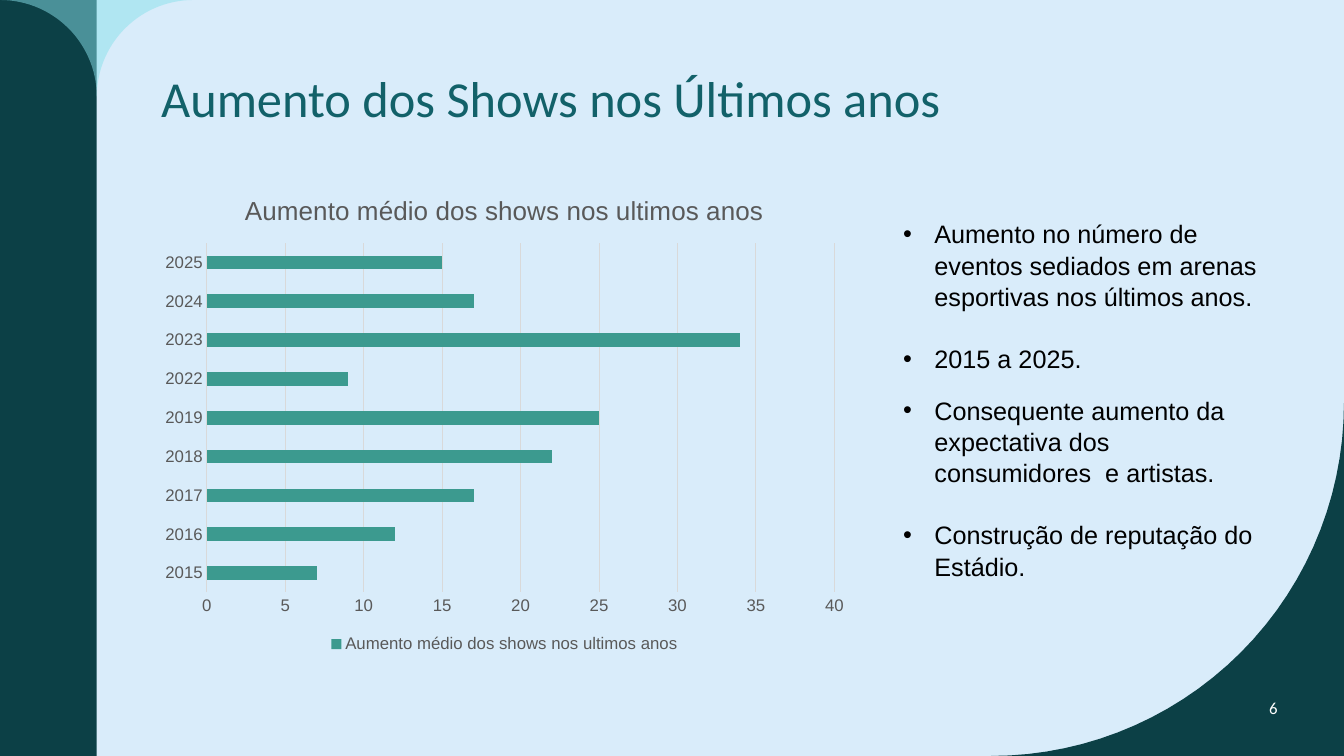
import math
from dataclasses import dataclass

from lxml import etree
from pptx import Presentation
from pptx.chart.data import CategoryChartData
from pptx.dml.color import RGBColor
from pptx.enum.chart import XL_CHART_TYPE, XL_LEGEND_POSITION, XL_TICK_MARK
from pptx.enum.shapes import MSO_SHAPE
from pptx.enum.text import MSO_ANCHOR, MSO_AUTO_SIZE, PP_ALIGN
from pptx.oxml.ns import qn
from pptx.util import Inches, Pt

BAR_CLUSTERED = XL_CHART_TYPE.BAR_CLUSTERED
LEGEND_BOTTOM = XL_LEGEND_POSITION.BOTTOM
TICK_NONE = XL_TICK_MARK.NONE
RECTANGLE = MSO_SHAPE.RECTANGLE
MIDDLE = MSO_ANCHOR.MIDDLE
FIT_SHAPE = MSO_AUTO_SIZE.SHAPE_TO_FIT_TEXT
CENTER = PP_ALIGN.CENTER

WIDTH, HEIGHT = 13.33, 7.5
BAND = 0.96
CORNER = 3.5
DARK, PALE, AQUA, TEAL = "0C4046", "D9ECFA", "89E1EB", "126169"
BAR, GRAY, GRID, BLACK, WHITE = "3C9A8F", "595959", "D9D9D9", "000000", "FFFFFF"
SERIES = "Aumento médio dos shows nos ultimos anos"
SHOWS = {"2015": 7, "2016": 12, "2017": 17, "2018": 22, "2019": 25,
         "2022": 9, "2023": 34, "2024": 17, "2025": 15}


@dataclass
class Bullet:
    text: str
    gap: float = 0  # points above


BULLETS = [
    Bullet("Aumento no número de eventos sediados em arenas esportivas nos últimos anos."),
    Bullet("2015 a 2025.", 21.6),
    Bullet("Consequente aumento da expectativa dos consumidores  e artistas.", 14.4),
    Bullet("Construção de reputação do Estádio.", 21.6),
]


def rgb(value: str) -> RGBColor:
    return RGBColor.from_string(value)


def set_font(font, size: float, color: str, name: str) -> None:
    font.size = Pt(size)
    font.name = name
    font.bold = False
    font.color.rgb = rgb(color)


def paint(sp, color: str) -> None:
    sp.fill.solid()
    sp.fill.fore_color.rgb = rgb(color)
    sp.line.fill.background()
    sp.shadow.inherit = False


def arc(cx: float, cy: float, radius: float, start: int) -> list:
    """Points of a clockwise quarter circle that begins at start degrees."""
    angles = [math.radians(start + step) for step in range(0, 91, 3)]
    return [(cx + radius * math.cos(a), cy + radius * math.sin(a)) for a in angles]


def add_outline(s, points: list, color: str):
    emu = [(Inches(x), Inches(y)) for x, y in points]
    builder = s.shapes.build_freeform(*emu[0])
    builder.add_line_segments(emu[1:])
    sp = builder.convert_to_shape()
    paint(sp, color)
    return sp


def add_text(s, box: tuple, text: str, size: float, color: str, name: str):
    tf = s.shapes.add_textbox(*map(Inches, box)).text_frame
    tf.word_wrap = True
    tf.vertical_anchor = MIDDLE
    tf.text = text
    set_font(tf.paragraphs[0].runs[0].font, size, color, name)
    return tf.paragraphs[0]


def add_background(s) -> None:
    s.background.fill.solid()
    s.background.fill.fore_color.rgb = rgb(PALE)
    band = s.shapes.add_shape(RECTANGLE, 0, 0, Inches(BAND), Inches(HEIGHT))
    paint(band, DARK)
    flare = add_outline(
        s, arc(0, BAND, BAND, -90) + arc(2 * BAND, BAND, BAND, 180), AQUA)
    color = flare.fill._xPr.find(qn("a:solidFill"))[0]
    etree.SubElement(color, qn("a:alpha"), val="50000")
    corner = arc(WIDTH - CORNER, HEIGHT - CORNER, CORNER, 0)
    add_outline(s, corner + [(WIDTH, HEIGHT)], DARK)


def add_shows_chart(s) -> None:
    data = CategoryChartData()
    data.categories = list(SHOWS)
    data.add_series(SERIES, list(SHOWS.values()))
    box = map(Inches, (1.5, 1.72, 7.01, 4.8))
    chart = s.shapes.add_chart(BAR_CLUSTERED, *box, data).chart
    set_font(chart.font, 10, BLACK, "Arial")

    chart.has_title = True
    tf = chart.chart_title.text_frame
    tf.text = SERIES
    set_font(tf.paragraphs[0].runs[0].font, 18.6, GRAY, "Arial")
    chart.chart_title.include_in_layout = False

    chart.has_legend = True
    chart.legend.position = LEGEND_BOTTOM
    chart.legend.include_in_layout = False
    set_font(chart.legend.font, 12, GRAY, "Arial")

    years, values = chart.category_axis, chart.value_axis
    for axis in (years, values):
        axis.major_tick_mark = axis.minor_tick_mark = TICK_NONE
        set_font(axis.tick_labels.font, 12, GRAY, "Arial")
    values.minimum_scale, values.maximum_scale, values.major_unit = 0, 40, 5
    values.format.line.fill.background()
    for line in (years.format.line, values.major_gridlines.format.line):
        line.color.rgb = rgb(GRID)
        line.width = Pt(0.75)

    plot = chart.plots[0]
    plot.gap_width = 182
    plot.vary_by_categories = False
    fill = plot.series[0].format.fill
    fill.solid()
    fill.fore_color.rgb = rgb(BAR)


def add_bullets(s) -> None:
    tf = s.shapes.add_textbox(*map(Inches, (8.86, 2.11, 3.76, 3.64))).text_frame
    tf.word_wrap = True
    tf.auto_size = FIT_SHAPE
    indent = Inches(0.31)
    for i, bullet in enumerate(BULLETS):
        p = tf.add_paragraph() if i else tf.paragraphs[0]
        p.text = bullet.text
        p.line_spacing = 1.04
        p.space_before = Pt(bullet.gap)
        set_font(p.runs[0].font, 18, BLACK, "Arial")
        pPr = p._p.get_or_add_pPr()
        pPr.set("marL", str(indent))
        pPr.set("indent", str(-indent))
        etree.SubElement(pPr, qn("a:buFont"), typeface="Arial")
        etree.SubElement(pPr, qn("a:buChar"), char="•")


def main() -> None:
    prs = Presentation()
    prs.slide_width, prs.slide_height = Inches(WIDTH), Inches(HEIGHT)
    s = prs.slides.add_slide(prs.slide_layouts[6])
    add_background(s)
    title = add_text(s, (1.5, 0.27, 10.42, 1.46),
                     "Aumento dos Shows nos Últimos anos", 36, TEAL, "Calibri")
    title.line_spacing = 0.9
    number = add_text(s, (11.92, 6.54, 1.42, 0.96), "6", 12, WHITE, "Calibri")
    number.alignment = CENTER
    add_shows_chart(s)
    add_bullets(s)
    prs.save("out.pptx")


if __name__ == "__main__":
    main()
